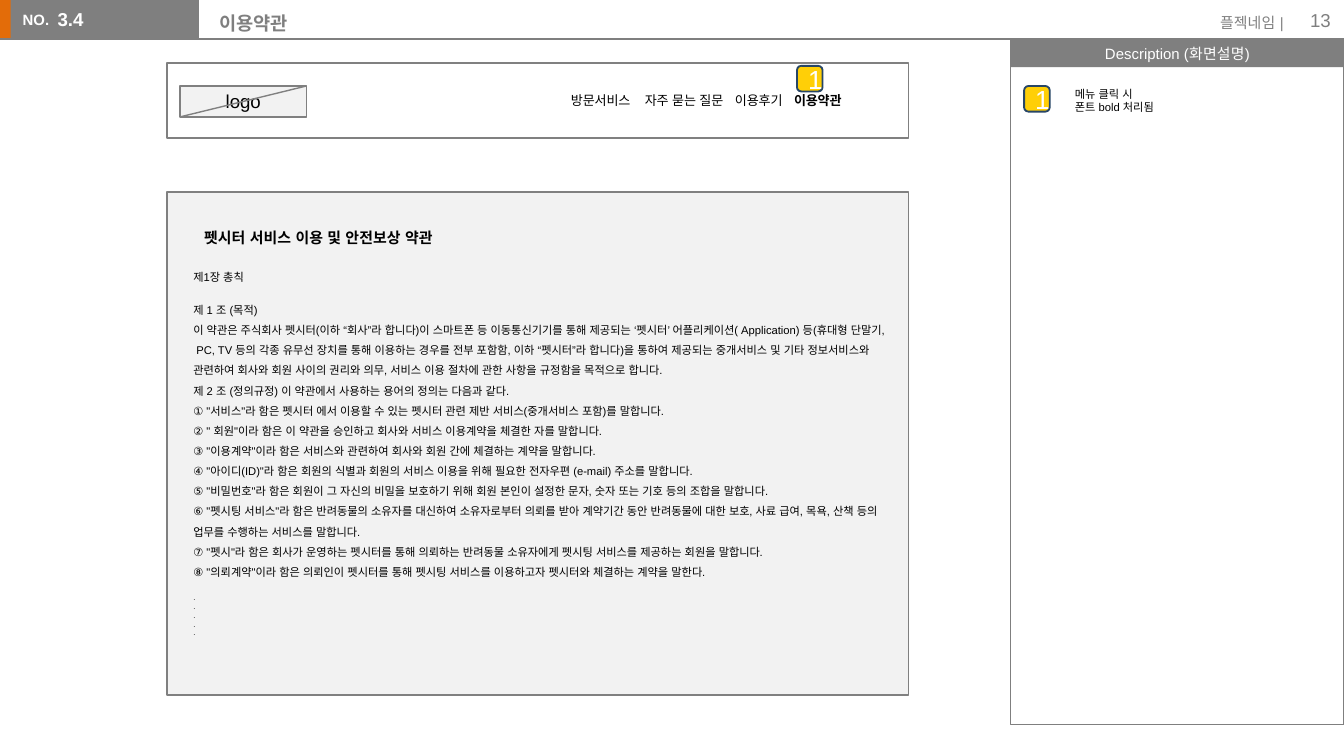
from dataclasses import dataclass

from lxml import etree
from pptx import Presentation
from pptx.dml.color import RGBColor
from pptx.enum.shapes import MSO_CONNECTOR, MSO_SHAPE
from pptx.enum.text import MSO_ANCHOR, MSO_AUTO_SIZE, PP_ALIGN
from pptx.oxml.ns import qn
from pptx.util import Inches, Pt

RECT, ROUND = MSO_SHAPE.RECTANGLE, MSO_SHAPE.ROUNDED_RECTANGLE
LEFT, MID, RIGHT = PP_ALIGN.LEFT, PP_ALIGN.CENTER, PP_ALIGN.RIGHT
TOP, HALF = MSO_ANCHOR.TOP, MSO_ANCHOR.MIDDLE
FONT = "Arial"
GRAY, EDGE, PALE = "7F7F7F", "808080", "F2F2F2"
WHITE, BLACK, ORANGE = "FFFFFF", "000000", "E36C09"
GOLD, NAVY = "FFCF07", "274666"

# The grid has 100 columns; each cell is a tenth of an inch square
CELL = Inches(0.1)
COLS = 100
ROWS = COLS * 9 / 16


@dataclass
class Box:
    col: float
    row: float
    wide: float
    high: float

    def place(self) -> list[int]:
        return [grid(n) for n in (self.col, self.row, self.wide, self.high)]


@dataclass
class Line:
    text: str
    size: float = 6
    gap: float = 0
    lead: float = 1.0


@dataclass
class Label:
    text: str
    box: Box
    size: float
    hue: str
    bold: bool = False
    side: int = LEFT
    anchor: int = TOP


def grid(cells: float) -> int:
    return round(cells * CELL)


def color(hue: str) -> RGBColor:
    return RGBColor.from_string(hue)


def add_run(para, text: str, size: float, hue: str, bold: bool) -> None:
    run = para.add_run()
    run.text = text
    font = run.font
    font.name, font.size, font.bold = FONT, Pt(size), bold
    font.color.rgb = color(hue)
    east = etree.SubElement(run._r.get_or_add_rPr(), qn("a:ea"))
    east.set("typeface", FONT)


def write(shape, text, *, size=6, hue=BLACK, bold=False, side=LEFT,
          anchor=TOP, pad=(0.1, 0.05)) -> None:
    """Fill a shape with one string or a list of Lines."""
    frame = shape.text_frame
    frame.auto_size, frame.word_wrap = MSO_AUTO_SIZE.NONE, True
    frame.vertical_anchor = anchor
    frame.margin_left = frame.margin_right = Inches(pad[0])
    frame.margin_top = frame.margin_bottom = Inches(pad[1])
    lines = [Line(text, size)] if isinstance(text, str) else text
    for at, line in enumerate(lines):
        para = frame.add_paragraph() if at else frame.paragraphs[0]
        para.alignment = side
        para.line_spacing, para.space_before = line.lead, Pt(line.gap)
        add_run(para, line.text, line.size, hue, bold)


def block(box: Box, fill: str = "", edge: str = "", width: float = 1,
          kind: int = RECT):
    shape = slide.shapes.add_shape(kind, *box.place())
    shape.shadow.inherit = False
    if fill:
        shape.fill.solid()
        shape.fill.fore_color.rgb = color(fill)
    else:
        shape.fill.background()
    if edge:
        shape.line.color.rgb = color(edge)
        shape.line.width = Pt(width)
    else:
        shape.line.fill.background()
    return shape


def label(box: Box, text, **form):
    shape = slide.shapes.add_textbox(*box.place())
    write(shape, text, **form)
    return shape


def rule(col: float, row: float, end: float, low: float, hue: str) -> None:
    line = slide.shapes.add_connector(
        MSO_CONNECTOR.STRAIGHT, *[grid(n) for n in (col, row, end, low)])
    line.line.color.rgb = color(hue)
    line.line.width = Pt(0.75)
    etree.SubElement(line._element.spPr, qn("a:effectLst"))


def marker(col: float, row: float) -> None:
    shape = block(Box(col, row, 1.9, 1.9), GOLD, NAVY, kind=ROUND)
    write(shape, "1", size=14, hue=WHITE, side=MID, anchor=HALF)


deck = Presentation()
deck.slide_width, deck.slide_height = grid(COLS), grid(ROWS)
slide = deck.slides.add_slide(deck.slide_layouts[5])

# Top bar
block(Box(-0.1, 0, 1.2, 2.9), ORANGE)
block(Box(0.8, 0, 14, 2.9), GRAY)
rule(0, 2.9, 76.6, 2.9, GRAY)
title = slide.shapes.title
title.left, title.top, title.width, title.height = Box(15.3, -0.1, 56.1, 3.2).place()
write(title, "이용약관", size=10, hue=GRAY, bold=True, pad=(0.1, 0.1))
for item in (
    Label("NO.", Box(0.7, 0.3, 4.1, 2.4), 8, WHITE, True),
    Label("3.4", Box(3.3, 0.1, 12, 3.1), 10, WHITE, True),
    Label("플젝네임 |", Box(89.3, 0.5, 7.2, 2.4), 8, GRAY, side=RIGHT),
    Label("13", Box(94, 0, 6, 3), 10, GRAY, side=RIGHT, anchor=HALF),
):
    label(item.box, item.text, size=item.size, hue=item.hue, bold=item.bold,
          side=item.side, anchor=item.anchor)

# Description panel
PANEL = 75.2
head = block(Box(PANEL, 2.9, COLS - PANEL, 2.1), GRAY)
write(head, "Description (화면설명)", size=8, hue=WHITE, side=MID, anchor=HALF)
block(Box(PANEL, 2.9, COLS - PANEL, 51), edge=GRAY, width=0.75)
marker(76.2, 6.4)
label(Box(79, 6, 18.3, 3), [Line("메뉴 클릭 시"), Line("폰트 bold 처리됨")])

# Site header with logo and menu
block(Box(12.4, 4.7, 55.2, 5.6), edge=EDGE)
logo = block(Box(13.4, 6.4, 9.4, 2.3), PALE, EDGE, 0.75)
write(logo, "logo", size=10, side=MID, anchor=HALF)
rule(13.4, 8.7, 22.8, 6.4, EDGE)
menu = label(Box(41.5, 6.4, 24, 2.2), "방문서비스\t자주 묻는 질문\t이용후기\t", size=7)
para = menu.text_frame.paragraphs[0]
add_run(para, "이용약관", 7, BLACK, True)
tabs = etree.SubElement(para._p.get_or_add_pPr(), qn("a:tabLst"))
for stop in (5.5, 12.2, 16.6):
    etree.SubElement(tabs, qn("a:tab"), pos=str(grid(stop)), algn="l")
marker(59.3, 4.9)

# Terms of use
block(Box(12.4, 14.3, 55.2, 37.4), PALE, EDGE)
label(Box(14.2, 16.5, 25.7, 2.4), "펫시터 서비스 이용 및 안전보상 약관", size=8, bold=True)
TERMS = (
    "제 1 조 (목적)",
    "이 약관은 주식회사 펫시터(이하 “회사”라 합니다)이 스마트폰 등 이동통신기기를 통해 "
    "제공되는 ‘펫시터’ 어플리케이션( Application) 등(휴대형 단말기, PC, TV 등의 각종 "
    "유무선 장치를 통해 이용하는 경우를 전부 포함함, 이하 “펫시터”라 합니다)을 통하여 "
    "제공되는 중개서비스 및 기타 정보서비스와 관련하여 회사와 회원 사이의 권리와 의무, "
    "서비스 이용 절차에 관한 사항을 규정함을 목적으로 합니다.",
    "제 2 조 (정의규정) 이 약관에서 사용하는 용어의 정의는 다음과 같다.",
    '① "서비스"라 함은 펫시터 에서 이용할 수 있는 펫시터 관련 제반 서비스(중개서비스 포함)를 말합니다.',
    '② " 회원"이라 함은 이 약관을 승인하고 회사와 서비스 이용계약을 체결한 자를 말합니다.',
    '③ "이용계약"이라 함은 서비스와 관련하여 회사와 회원 간에 체결하는 계약을 말합니다.',
    '④ "아이디(ID)"라 함은 회원의 식별과 회원의 서비스 이용을 위해 필요한 전자우편 (e-mail) 주소를 말합니다.',
    '⑤ "비밀번호"라 함은 회원이 그 자신의 비밀을 보호하기 위해 회원 본인이 설정한 문자, '
    "숫자 또는 기호 등의 조합을 말합니다.",
    '⑥ "펫시팅 서비스"라 함은 반려동물의 소유자를 대신하여 소유자로부터 의뢰를 받아 계약기간 동안 '
    "반려동물에 대한 보호, 사료 급여, 목욕, 산책 등의 업무를 수행하는 서비스를 말합니다.",
    '⑦ "펫시"라 함은 회사가 운영하는 펫시터를 통해 의뢰하는 반려동물 소유자에게 '
    "펫시팅 서비스를 제공하는 회원을 말합니다.",
    '⑧ "의뢰계약"이라 함은 의뢰인이 펫시터를 통해 펫시팅 서비스를 이용하고자 '
    "펫시터와 체결하는 계약을 말한다.",
)
lines = [Line("제1장 총칙")]
lines += [Line(term, gap=0 if at else 7, lead=1.5) for at, term in enumerate(TERMS)]
lines += [Line(".", 4, gap=0 if at else 7.5) for at in range(5)]
label(Box(13.4, 19.6, 53.3, 29.3), lines)

deck.save("out.pptx")
